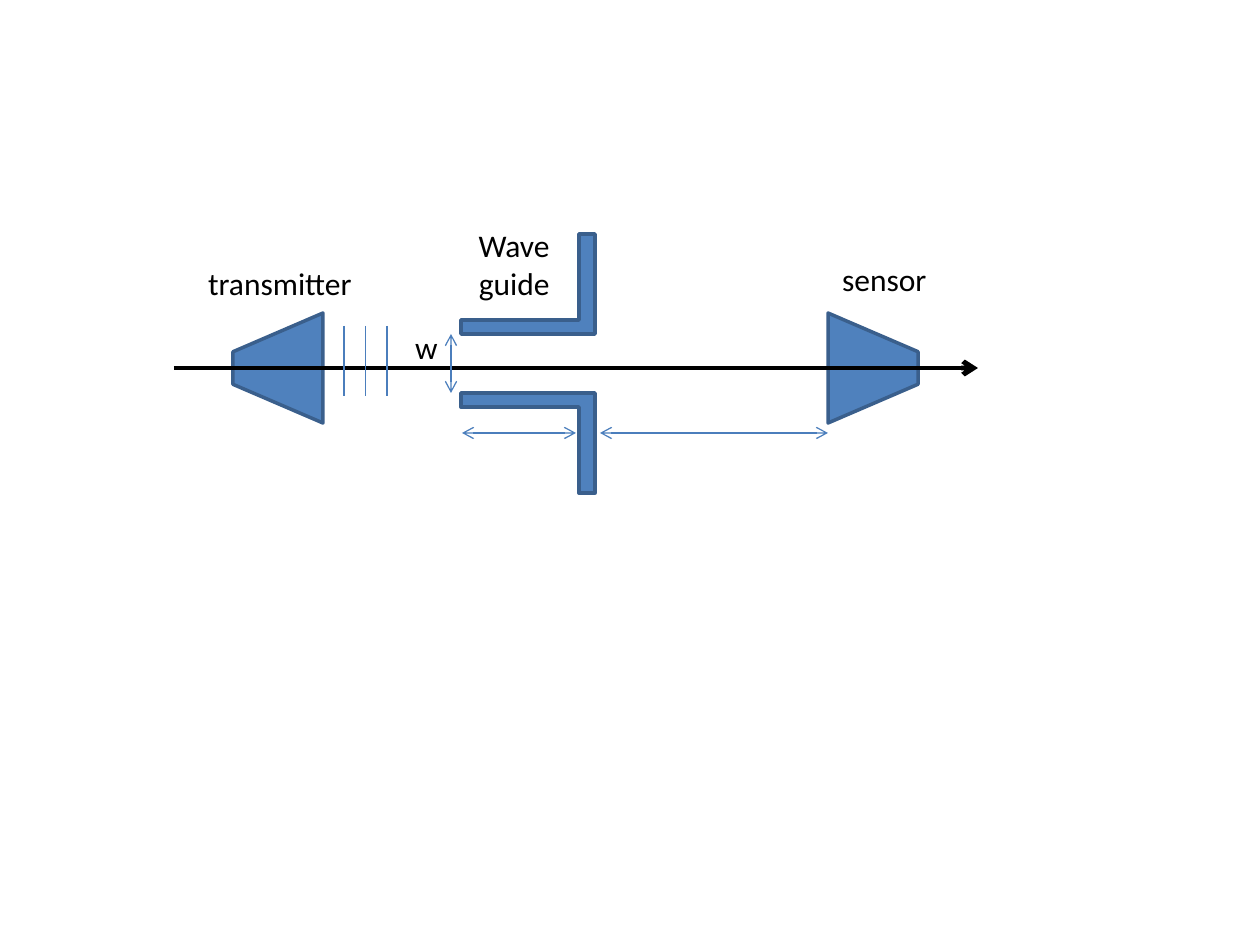
from lxml import etree
from pptx import Presentation
from pptx.dml.color import RGBColor
from pptx.enum.shapes import MSO_CONNECTOR, MSO_SHAPE
from pptx.enum.text import MSO_AUTO_SIZE, PP_ALIGN
from pptx.oxml.ns import qn
from pptx.util import Pt

PX = 914400 / 126
COLORS = {"body": "4F81BD", "edge": "3A5F8C", "thin": "4B7EBC", "ink": "000000"}


def emu(*lengths):
    return [round(length * PX) for length in lengths]


def rgb(name):
    return RGBColor.from_string(COLORS[name])


def add_text(slide, box, text, size=18, color="ink", font="Calibri", wrap=False):
    label = slide.shapes.add_textbox(*emu(*box))
    frame = label.text_frame
    frame.word_wrap = wrap
    frame.auto_size = MSO_AUTO_SIZE.SHAPE_TO_FIT_TEXT
    frame.text = text
    for paragraph in frame.paragraphs:
        paragraph.alignment = PP_ALIGN.RIGHT
        paragraph._p.get_or_add_pPr().set("rtl", "1")
        for run in paragraph.runs:
            run.font.size = Pt(size)
            run.font.name = font
            run.font.color.rgb = rgb(color)


def add_line(slide, start, end, color="thin", width=0.75, ends=()):
    """Draw a line; ends may hold headEnd (start) and tailEnd (finish)."""
    line = slide.shapes.add_connector(MSO_CONNECTOR.STRAIGHT, *emu(*start, *end))
    line.line.color.rgb = rgb(color)
    line.line.width = Pt(width)
    for end_tag in ends:
        etree.SubElement(line.line._get_or_add_ln(), qn(f"a:{end_tag}"), type="arrow")
    etree.SubElement(line._element.spPr, qn("a:effectLst"))


def add_turned(slide, preset, box, rotation, adjustments, flip=False):
    """Place a shape turned by a quarter so that it covers box as seen."""
    x, y, w, h = box
    unturned = (x + (w - h) / 2, y + (h - w) / 2, h, w)
    part = slide.shapes.add_shape(preset, *emu(*unturned))
    part.rotation = rotation
    for i, value in enumerate(adjustments):
        part.adjustments[i] = value
    if flip:
        part._element.spPr.find(qn("a:xfrm")).set("flipV", "1")
    part.shadow.inherit = False
    part.fill.solid()
    part.fill.fore_color.rgb = rgb("body")
    part.line.color.rgb = rgb("edge")
    part.line.width = Pt(2)


def add_horn(slide, box, rotation):
    add_turned(slide, MSO_SHAPE.TRAPEZOID, box, rotation, [0.43])


def add_wave_guide(slide, box, plate_height=100):
    x, y, w, h = box
    for top, rotation, flip in ((y, 270, False), (y + h - plate_height, 90, True)):
        add_turned(slide, MSO_SHAPE.CORNER, (x, top, w, plate_height),
                   rotation, [0.16, 0.14], flip)


def add_wave_fronts(slide, box, count=3):
    x, y, w, h = box
    for i in range(count):
        front = x + w * i / (count - 1)
        add_line(slide, (front, y), (front, y + h))


def add_dimensions(slide, box):
    """Guide length, distance to the sensor, and gap width."""
    x, y, w, h = box
    both = ("headEnd", "tailEnd")
    bottom = y + h
    add_line(slide, (x + 11, bottom), (x + 125, bottom), ends=both)
    add_line(slide, (x + 149, bottom), (x + w, bottom), ends=both)
    add_line(slide, (x, y), (x, y + 59), ends=both)


def add_labels(slide, box):
    x, y, _, _ = box
    add_text(slide, (x, y + 38, 171, 50), "transmitter")
    add_text(slide, (x + 635, y + 34, 111, 50), "sensor")
    add_text(slide, (x + 269, y, 100, 90), "Wave\nguide", wrap=True)
    add_text(slide, (x + 209, y + 102, 48, 50), "w")


def main():
    deck = Presentation()
    deck.slide_width, deck.slide_height = emu(1260, 945)
    slide = deck.slides.add_slide(deck.slide_layouts[6])

    # Apparatus
    add_horn(slide, (233, 313, 90, 110), 270)
    add_horn(slide, (828, 313, 90, 110), 90)
    add_wave_guide(slide, (461, 234, 134, 259))

    # Beam axis
    add_line(slide, (174, 368), (978, 368), color="ink", width=2.75, ends=("tailEnd",))

    # Wave fronts, dimensions and labels
    add_wave_fronts(slide, (344, 326, 43, 70))
    add_dimensions(slide, (451, 334, 377, 99))
    add_labels(slide, (193, 220, 746, 152))

    deck.save("out.pptx")


if __name__ == "__main__":
    main()
